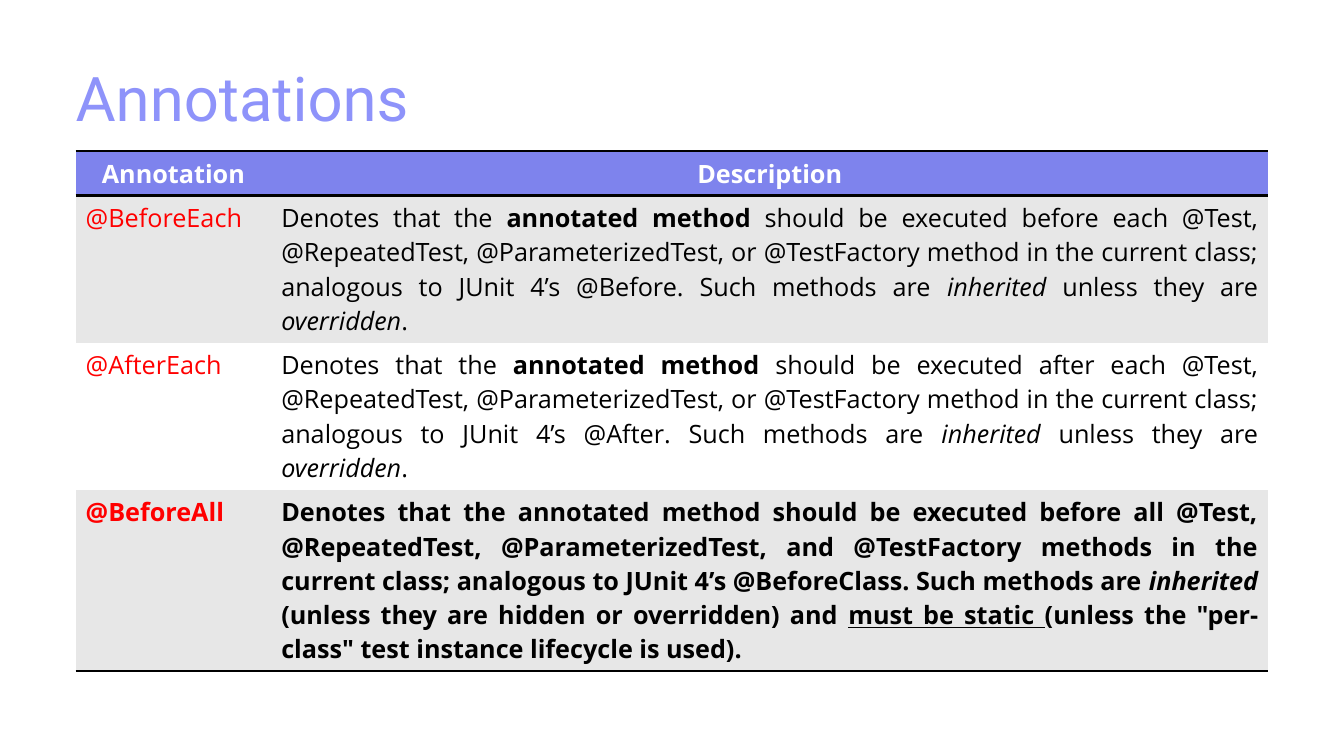
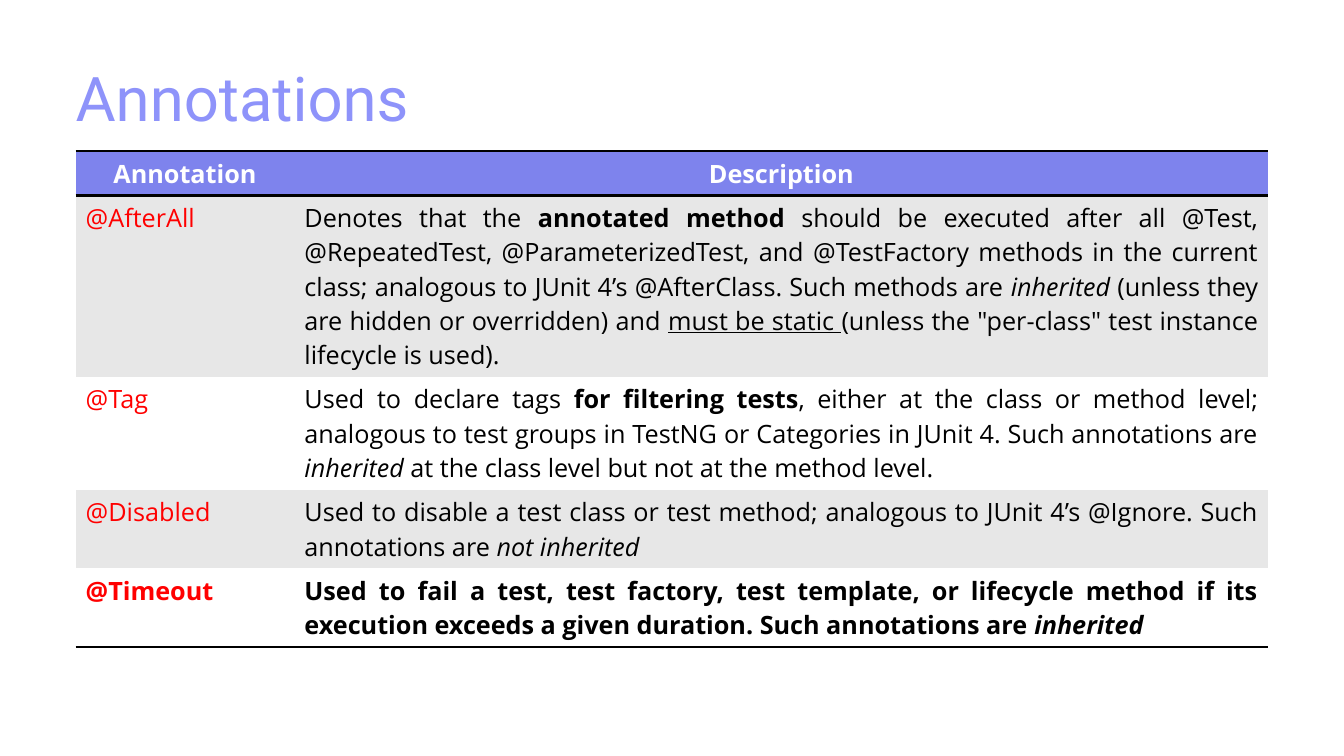
"""Build two slides that list test annotations in matching tables."""
from dataclasses import dataclass

from lxml.etree import SubElement
from pptx import Presentation
from pptx.dml.color import RGBColor
from pptx.enum.text import MSO_ANCHOR, PP_ALIGN
from pptx.oxml.ns import qn
from pptx.util import Inches, Pt

Run = tuple[str, str]

LILAC, VIOLET, GREY = "8E93FA", "7E83ED", "E7E7E7"
WHITE, BLACK, RED = "FFFFFF", "000000", "FF0000"
LEFT, WIDTH = 0.75, 11.83
PAD, LINE = 0.1, 0.34
NO_GRID = "{2D5ABB26-0587-4C30-8999-92F81FD0307C}"
STYLES = {"b": "bold", "i": "italic", "u": "underline"}
EDGES = {"t": "a:lnT", "b": "a:lnB"}


@dataclass
class Entry:
    name: str
    runs: list[Run]
    lines: int


@dataclass
class Page:
    split: float
    entries: list[Entry]


def color(value: str) -> RGBColor:
    return RGBColor.from_string(value)


def write(para, runs: list[Run], size: int, face: str, tint: str) -> None:
    for text, marks in runs:
        run = para.add_run()
        run.text = text
        run.font.color.rgb = color(tint)
        values = {"size": Pt(size), "name": face}
        values |= {name: mark in marks for mark, name in STYLES.items()}
        for name, value in values.items():
            setattr(run.font, name, value)


def border(cell, edge: str) -> None:
    props = cell._tc.get_or_add_tcPr()
    line = SubElement(props, qn(EDGES[edge]), w=str(Pt(2)))
    fill = SubElement(line, qn("a:solidFill"))
    SubElement(fill, qn("a:srgbClr"), val=BLACK)


def fill_cell(cell, runs: list[Run], align: PP_ALIGN, tint: str,
              back: str, edges: str) -> None:
    for edge in edges:
        border(cell, edge)
    cell.fill.solid()
    cell.fill.fore_color.rgb = color(back)
    para = cell.text_frame.paragraphs[0]
    para.alignment = align
    write(para, runs, 18, "Open Sans", tint)


def add_title(slide, text: str) -> None:
    box = slide.shapes.add_textbox(Inches(LEFT), Inches(0.75), Inches(WIDTH), Inches(0.75))
    frame = box.text_frame
    values = {"word_wrap": True, "margin_left": 0, "vertical_anchor": MSO_ANCHOR.TOP}
    for name, value in values.items():
        setattr(frame, name, value)
    para = frame.paragraphs[0]
    para.line_spacing = 0.7
    write(para, [(text, "")], 44, "Roboto", LILAC)


def add_grid(slide, page: Page) -> None:
    counts = [1] + [entry.lines for entry in page.entries]
    heights = [PAD + LINE * count for count in counts]
    frame = slide.shapes.add_table(len(heights), 2, Inches(LEFT), Inches(1.5),
                                   Inches(WIDTH), Inches(sum(heights)))
    table = frame.table
    table._tbl.tblPr.find(qn("a:tableStyleId")).text = NO_GRID
    for column, width in zip(table.columns, (page.split, WIDTH - page.split)):
        column.width = Inches(width)
    for row, height in zip(table.rows, heights):
        row.height = Inches(height)
    for cell, text in zip(table.rows[0].cells, ("Annotation", "Description")):
        fill_cell(cell, [(text, "b")], PP_ALIGN.CENTER, WHITE, VIOLET, "tb")
    for index, entry in enumerate(page.entries, 1):
        last = index == len(page.entries)
        back = GREY if index % 2 else WHITE
        bold, edges = ("b", "b") if last else ("", "")
        name, note = table.rows[index].cells
        runs = [(text, marks + bold) for text, marks in entry.runs]
        fill_cell(name, [(entry.name, bold)], PP_ALIGN.LEFT, RED, back, edges)
        fill_cell(note, runs, PP_ALIGN.JUSTIFY, BLACK, back, edges)


def method(scope: str, link: str, noun: str, old: str) -> list[Run]:
    return [
        ("Denotes that the ", ""),
        ("annotated method ", "b"),
        (f"should be executed {scope} @Test, @RepeatedTest, @ParameterizedTest, "
         f"{link} @TestFactory {noun} in the current class; analogous to "
         f"JUnit 4’s {old}. Such methods are ", ""),
        ("inherited", "i"),
    ]


def each(when: str, old: str) -> list[Run]:
    return method(f"{when} each", "or", "method", old) + [
        (" unless they are ", ""), ("overridden", "i"), (".", "")]


def every(when: str, old: str) -> list[Run]:
    return method(f"{when} all", "and", "methods", old) + [
        (" (unless they are hidden or overridden) and ", ""),
        ("must be static ", "u"),
        ('(unless the "per-class" test instance lifecycle is used).', "")]


PAGES = [
    Page(1.94, [
        Entry("@BeforeEach", each("before", "@Before"), 4),
        Entry("@AfterEach", each("after", "@After"), 4),
        Entry("@BeforeAll", every("before", "@BeforeClass"), 5),
    ]),
    Page(2.17, [
        Entry("@AfterAll", every("after", "@AfterClass"), 5),
        Entry("@Tag", [
            ("Used to declare tags ", ""),
            ("for filtering tests", "b"),
            (", either at the class or method level; analogous to test groups in "
             "TestNG or Categories in JUnit 4. Such annotations are ", ""),
            ("inherited", "i"),
            (" at the class level but not at the method level.", ""),
        ], 3),
        Entry("@Disabled", [
            ("Used to disable a test class or test method; analogous to "
             "JUnit 4’s @Ignore. Such annotations are ", ""),
            ("not inherited", "i"),
        ], 2),
        Entry("@Timeout", [
            ("Used to fail a test, test factory, test template, or lifecycle method "
             "if its execution exceeds a given duration. Such annotations are ", ""),
            ("inherited", "i"),
        ], 2),
    ]),
]


def main() -> None:
    deck = Presentation()
    deck.slide_width, deck.slide_height = Inches(13.33), Inches(7.5)
    for page in PAGES:
        slide = deck.slides.add_slide(deck.slide_layouts[6])
        add_title(slide, "Annotations")
        add_grid(slide, page)
    deck.save("out.pptx")


if __name__ == "__main__":
    main()
